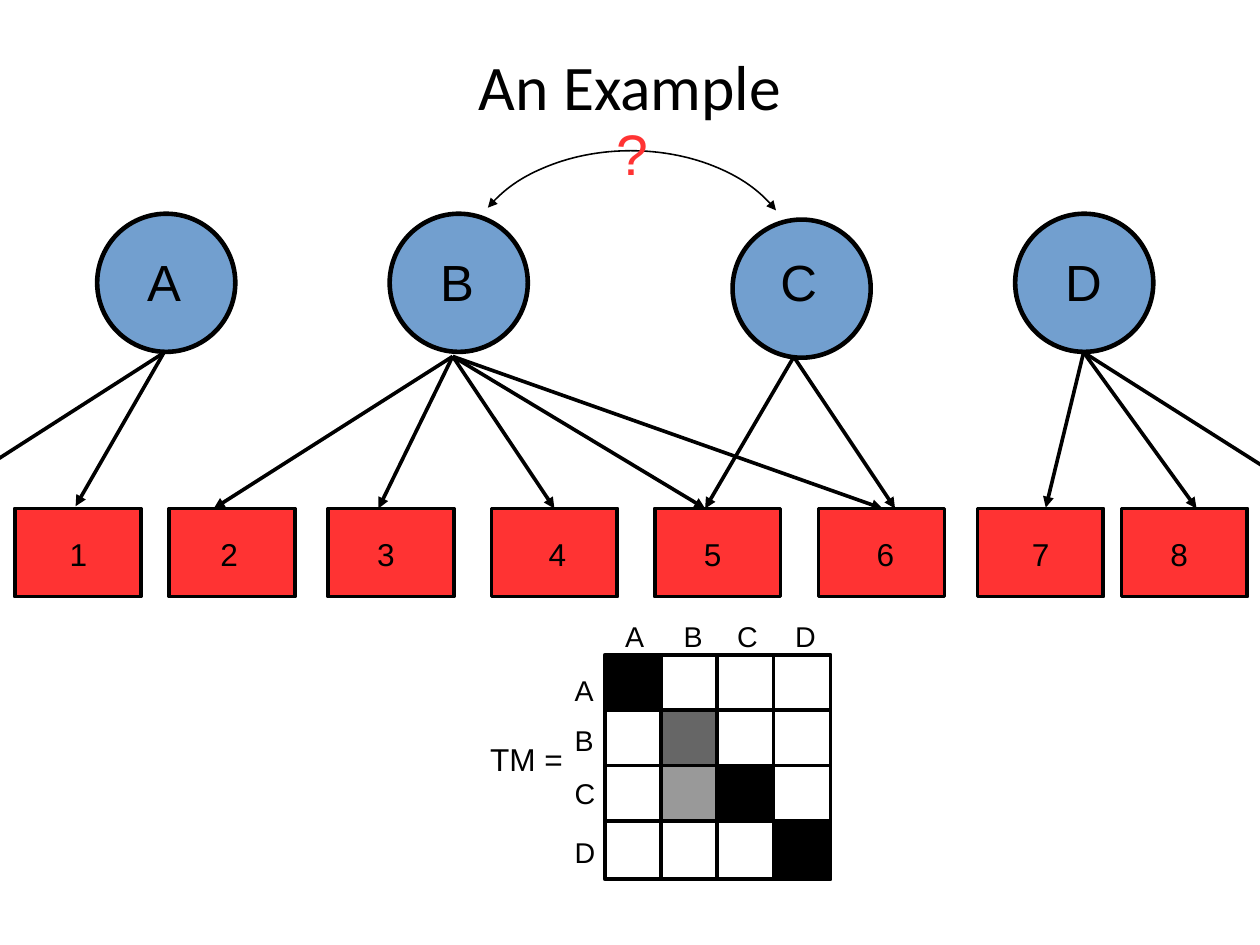
from dataclasses import dataclass

from lxml.etree import SubElement
from pptx import Presentation
from pptx.dml.color import RGBColor as RGB
from pptx.enum.shapes import MSO_CONNECTOR as CONN, MSO_SHAPE as SHAPE
from pptx.enum.text import MSO_ANCHOR as ANCHOR, MSO_AUTO_SIZE as FIT, PP_ALIGN as ALIGN
from pptx.oxml.ns import qn
from pptx.util import Cm, Pt


@dataclass(frozen=True)
class Theme:
    black: str = "000000"
    white: str = "FFFFFF"
    red: str = "FF3333"
    blue: str = "729FCF"
    dark_gray: str = "666666"
    light_gray: str = "999999"
    title_font: str = "Calibri"
    body_font: str = "Arial"
    title_size: float = 40
    question_size: float = 36
    node_size: float = 32
    box_size: float = 19.9
    label_size: float = 18
    line: float = 2.3
    circle_line: float = 2.89
    arc_line: float = 1


class Diagram:
    def __init__(self, slide, theme):
        self.slide = slide
        self.theme = theme

    def stroke(self, line, width, heads=()):
        line.color.rgb = RGB.from_string(self.theme.black)
        line.width = Pt(width)
        ln = line._get_or_add_ln()
        for head in heads:
            SubElement(ln, qn(head)).set("type", "triangle")

    def shape(self, kind, x, y, w, h, fill, width):
        s = self.slide.shapes.add_shape(kind, Cm(x), Cm(y), Cm(w), Cm(h))
        s.shadow.inherit = False
        s.fill.solid()
        s.fill.fore_color.rgb = RGB.from_string(fill)
        self.stroke(s.line, width)

    def arc(self, x, y, w, h, start, end):
        s = self.slide.shapes.add_shape(SHAPE.ARC, Cm(x), Cm(y), Cm(w), Cm(h))
        s.shadow.inherit = False
        s.adjustments[0] = start
        s.adjustments[1] = end
        s.fill.background()
        self.stroke(s.line, self.theme.arc_line, ("a:headEnd", "a:tailEnd"))

    def arrow(self, start, end):
        c = self.slide.shapes.add_connector(CONN.STRAIGHT, *map(Cm, start + end))
        self.stroke(c.line, self.theme.line, ("a:tailEnd",))
        SubElement(c._element.spPr, qn("a:effectLst"))

    def paragraph(self, tf, text, size, color, font):
        p = tf.paragraphs[0]
        p.text = text
        p.font.size = Pt(size)
        p.font.name = font
        p.font.color.rgb = RGB.from_string(color)
        return p

    def text(self, text, x, y, w, h, size, color=None):
        tf = self.slide.shapes.add_textbox(Cm(x), Cm(y), Cm(w), Cm(h)).text_frame
        tf.word_wrap = False
        tf.auto_size = FIT.SHAPE_TO_FIT_TEXT
        self.paragraph(tf, text, size, color or self.theme.black, self.theme.body_font)

    def title(self, text, x, y, w, h):
        tf = self.slide.shapes.add_textbox(Cm(x), Cm(y), Cm(w), Cm(h)).text_frame
        tf.word_wrap = True
        tf.vertical_anchor = ANCHOR.MIDDLE
        tf.margin_left = tf.margin_right = tf.margin_top = tf.margin_bottom = 0
        p = self.paragraph(tf, text, self.theme.title_size, self.theme.black,
                           self.theme.title_font)
        p.alignment = ALIGN.CENTER


NODES = [
    ("A", 2.16, 4.75, 3.02, (3.64, 7.84), [(-1.68, 11.25), (1.68, 11.25)]),
    ("B", 8.66, 4.75, 9.53, (10.06, 7.92),
     [(4.75, 11.3), (8.41, 11.3), (12.32, 11.3), (15.67, 11.3), (19.61, 11.3)]),
    ("C", 16.28, 4.88, 17.09, (17.64, 7.93), [(15.67, 11.3), (19.89, 11.3)]),
    ("D", 22.56, 4.75, 23.42, (24.08, 7.83),
     [(23.24, 11.28), (26.59, 11.3), (29.39, 11.2)]),
]
BOXES = [(0.33, 1.3), (3.76, 4.65), (7.29, 8.13), (10.92, 11.94),
         (14.55, 15.39), (18.19, 19.23), (21.72, 22.68), (24.92, 25.76)]
COLUMN_LABELS = [13.64, 14.94, 16.13, 17.42]
ROW_LABELS = [14.83, 15.93, 17.12, 18.44]


def main():
    theme = Theme()
    prs = Presentation()
    prs.slide_width, prs.slide_height = Cm(28), Cm(21)
    d = Diagram(prs.slides.add_slide(prs.slide_layouts[6]), theme)
    d.title("An Example", 1.4, 0, 25.2, 3.78)

    for number, (x, text_x) in enumerate(BOXES, 1):
        d.shape(SHAPE.RECTANGLE, x, 11.3, 2.8, 1.96, theme.red, theme.line)
        d.text(str(number), text_x, 11.76, 0.94, 1.35, theme.box_size)

    for name, x, y, text_x, start, ends in NODES:
        d.shape(SHAPE.OVAL, x, y, 3.07, 3.07, theme.blue, theme.circle_line)
        d.text(name, text_x, 5.44, 1.42, 1.96, theme.node_size)
        for end in ends:
            d.arrow(start, end)

    d.arc(10.36, 3.35, 7.32, 5.03, 120.86, 203.86)
    d.text("?", 13.44, 2.51, 1.32, 1.85, theme.question_size, theme.red)

    shades = {(0, 0): theme.black, (1, 1): theme.dark_gray, (2, 1): theme.light_gray,
              (2, 2): theme.black, (3, 3): theme.black}
    for row in range(4):
        for col in range(4):
            d.shape(SHAPE.RECTANGLE, 13.44 + 1.25 * col, 14.55 + 1.23 * row, 1.27, 1.3,
                    shades.get((row, col), theme.white), theme.line)
    for name, x, y in zip("ABCD", COLUMN_LABELS, ROW_LABELS):
        d.text(name, x, 13.64, 0.94, 0.97, theme.label_size)
        d.text(name, 12.52, y, 0.94, 0.97, theme.label_size)
    d.text("TM =", 10.64, 16.31, 2.18, 1.07, theme.box_size)

    prs.save("out.pptx")


if __name__ == "__main__":
    main()
